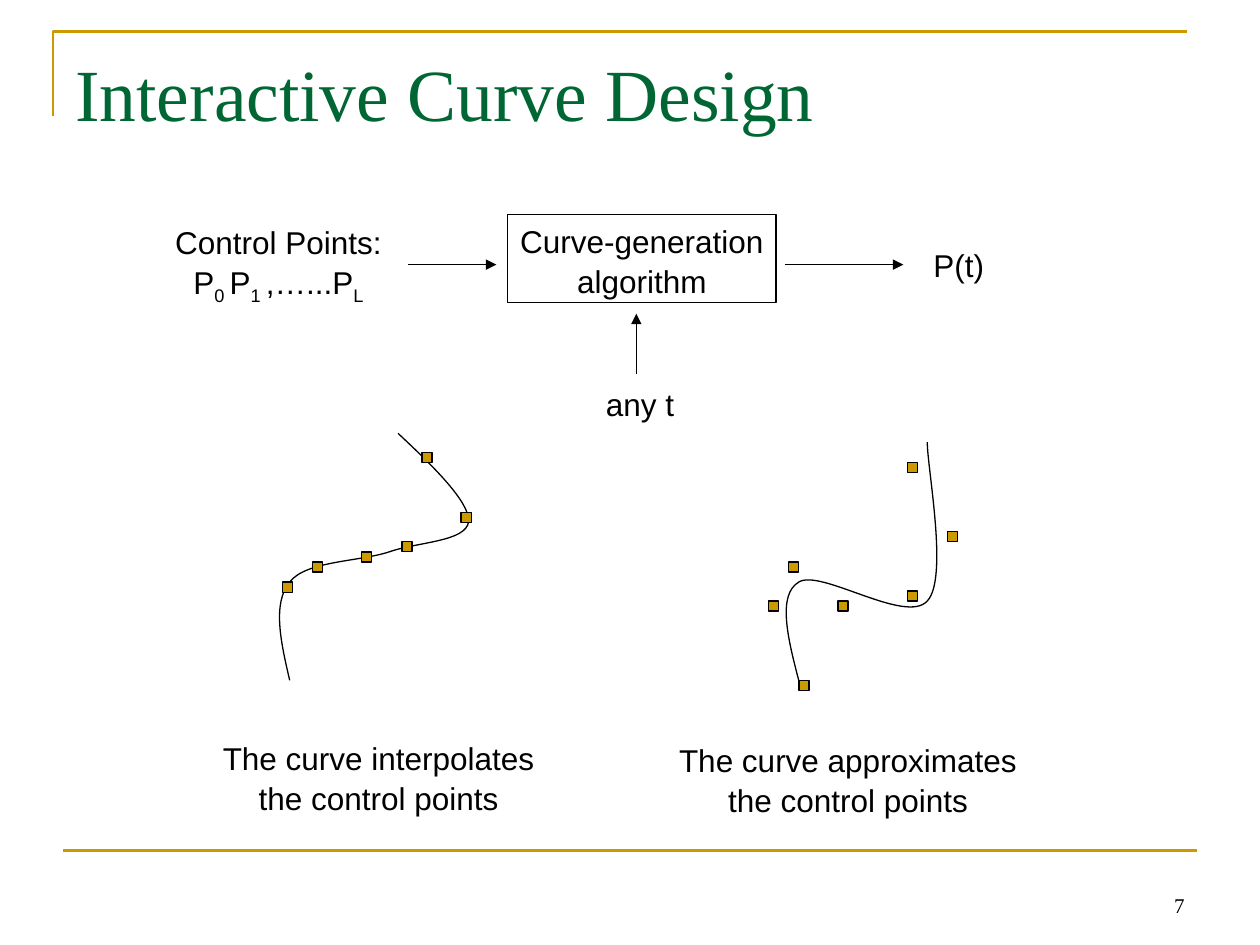
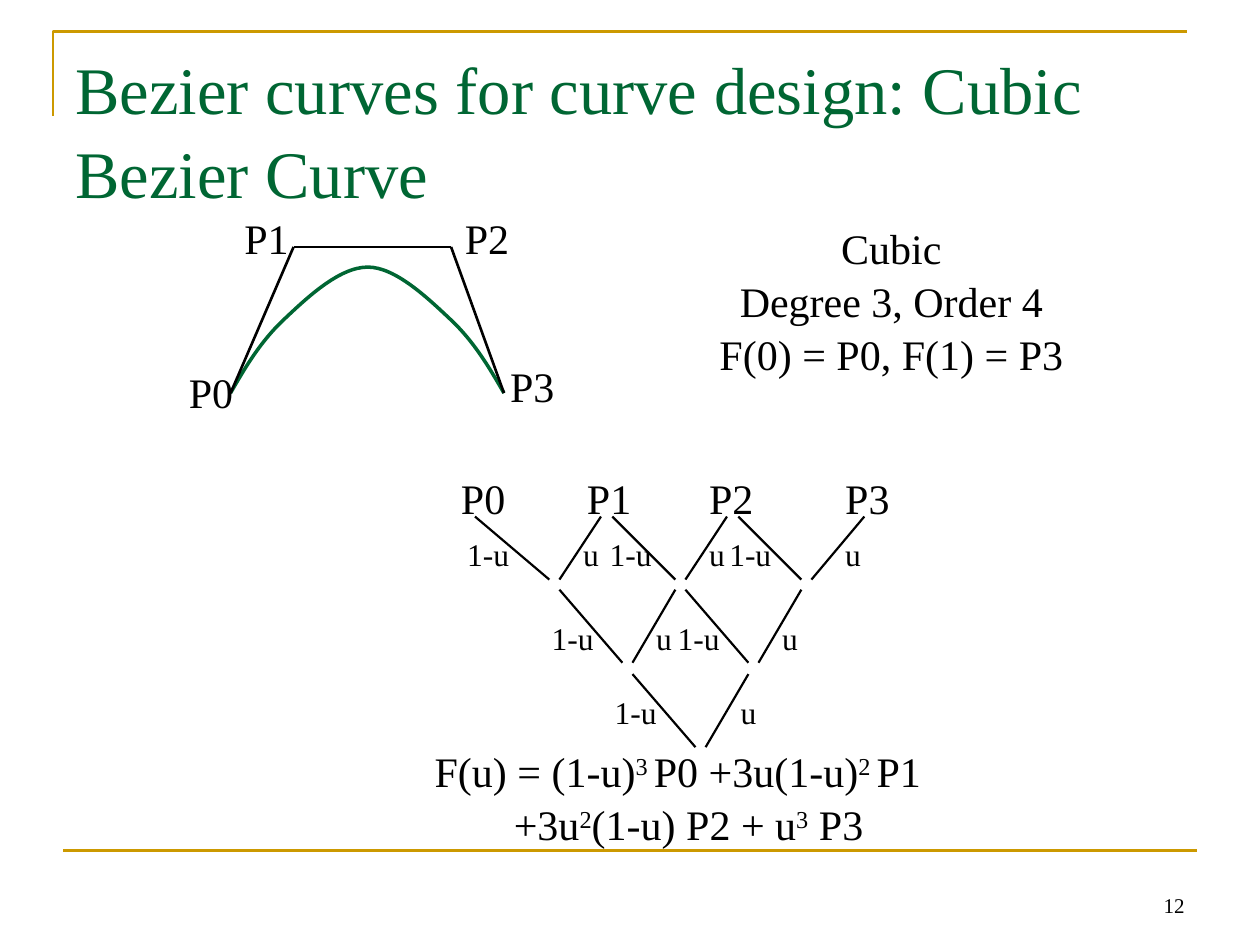
from itertools import pairwise

from lxml import etree
from pptx import Presentation
from pptx.dml.color import RGBColor
from pptx.enum.shapes import MSO_CONNECTOR, MSO_SHAPE
from pptx.enum.text import MSO_ANCHOR, PP_ALIGN
from pptx.oxml.ns import qn
from pptx.util import Inches, Pt

STRAIGHT, RECT = MSO_CONNECTOR.STRAIGHT, MSO_SHAPE.RECTANGLE
LEFT, CENTER, RIGHT = PP_ALIGN.LEFT, PP_ALIGN.CENTER, PP_ALIGN.RIGHT
TOP, BOTTOM = MSO_ANCHOR.TOP, MSO_ANCHOR.BOTTOM

GOLD = RGBColor(0xCC, 0x99, 0x00)
GREEN = RGBColor(0x00, 0x66, 0x33)
BLACK = RGBColor(0x00, 0x00, 0x00)
SERIF, SANS = "Times New Roman", "Arial"


def add_text(s, box, paras, size, font=SERIF, color=BLACK, align=LEFT,
             anchor=TOP, wrap=False, shift=0):
    """Each paragraph is a list of runs; every second run is raised by shift."""
    sp = s.shapes.add_textbox(*map(Inches, box))
    tf = sp.text_frame
    tf.word_wrap = wrap
    tf.vertical_anchor = anchor
    for i, runs in enumerate(paras):
        p = tf.paragraphs[0] if i == 0 else tf.add_paragraph()
        p.alignment = align
        p.line_spacing = 1.05
        for j, text in enumerate(runs):
            r = p.add_run()
            r.text = text
            r.font.name, r.font.size = font, Pt(size)
            r.font.color.rgb = color
            if j % 2:
                r.font._element.set("baseline", str(shift * 1000))
    return sp


def add_line(s, start, end, color=BLACK, width=0.75, arrow=False):
    cx = s.shapes.add_connector(STRAIGHT, *map(Inches, (*start, *end)))
    cx.line.color.rgb = color
    cx.line.width = Pt(width)
    if arrow:
        etree.SubElement(cx.line._get_or_add_ln(), qn("a:tailEnd"), type="triangle")
    etree.SubElement(cx._element.spPr, qn("a:effectLst"))


prs = Presentation()
prs.slide_width, prs.slide_height = Inches(10), Inches(7.5)

# Shared frame: footer rule, title, page number
slides = []
for title, size, number in [
    ("Interactive Curve Design", 42, "7"),
    ("Bezier curves for curve design: Cubic Bezier Curve", 38, "12"),
]:
    s = prs.slides.add_slide(prs.slide_layouts[6])
    add_line(s, (0.5, 6.75), (9.5, 6.75), GOLD, 1.5)
    add_text(s, (0.5, 0.3, 9, 1.25), [[title]], size, color=GREEN, wrap=True)
    add_text(s, (7.17, 6.83, 2.33, 0.5), [[number]], 12, align=RIGHT,
             anchor=BOTTOM, wrap=True)
    slides.append(s)
design, cubic = slides

# Outlines: the corner of each frame, then the curves (start, then control triples)
corner = [(0.42, 0.92), (0.42, 0.25), (9.42, 0.25)]
interpolating = [(2.3, 5.4), (2.23, 5.1), (2.16, 4.79), (2.3, 4.62),
                 (2.43, 4.45), (2.85, 4.46), (3.09, 4.38),
                 (3.32, 4.3), (3.7, 4.3), (3.72, 4.14),
                 (3.73, 3.99), (3.45, 3.71), (3.16, 3.44)]
approximating = [(6.34, 5.4), (6.25, 5.06), (6.17, 4.72), (6.34, 4.62),
                 (6.51, 4.51), (7.19, 4.96), (7.36, 4.77),
                 (7.53, 4.59), (7.36, 3.72), (7.36, 3.51)]
bezier = [(1.83, 3.12), (1.95, 2.91), (2.07, 2.71), (2.25, 2.54),
          (2.43, 2.37), (2.69, 2.12), (2.92, 2.12),
          (3.14, 2.12), (3.4, 2.37), (3.58, 2.54),
          (3.76, 2.71), (3.88, 2.91), (4, 3.12)]
for s, points, color, width, curved in [
    (design, corner, GOLD, 1.5, False),
    (cubic, corner, GOLD, 1.5, False),
    (design, interpolating, BLACK, 0.75, True),
    (design, approximating, BLACK, 0.75, True),
    (cubic, bezier, GREEN, 2, True),
]:
    (x0, y0), *rest = [(Inches(x), Inches(y)) for x, y in points]
    fb = s.shapes.build_freeform(x0, y0)
    fb.add_line_segments(rest, close=False)
    sp = fb.convert_to_shape()
    sp.shadow.inherit = False
    sp.fill.background()
    sp.line.color.rgb = color
    sp.line.width = Pt(width)
    if curved:
        # Every three segments become one cubic segment
        steps = list(sp._element.iter(qn("a:lnTo")))
        outline = steps[0].getparent()
        for i in range(0, len(steps), 3):
            cubic_to = etree.SubElement(outline, qn("a:cubicBezTo"))
            for step in steps[i:i + 3]:
                cubic_to.append(step[0])
                outline.remove(step)

# Slide 1: flow from control points to P(t)
s = design
add_text(s, (1.03, 1.71, 2.36, 0.74),
         [["Control Points:"], ["P", "0 ", "P", "1 ", ",…...P", "L"]],
         18, SANS, align=CENTER, wrap=True, shift=-25)
sp = add_text(s, (4.03, 1.7, 2.13, 0.7), [["Curve-generation"], ["algorithm"]],
              18, SANS, align=CENTER)
sp.line.color.rgb = BLACK
sp.line.width = Pt(0.75)
add_text(s, (4.71, 2.99, 0.74, 0.4), [["any t"]], 18, SANS)
add_text(s, (7.31, 1.89, 0.6, 0.4), [["P(t)"]], 18, SANS)
for start, end in [((3.24, 2.1), (3.94, 2.1)), ((6.23, 2.1), (7.17, 2.1)),
                   ((5.05, 2.97), (5.05, 2.49))]:
    add_line(s, start, end, arrow=True)

# Control points of both curves
for x, y in [(2.24, 4.62), (2.48, 4.46), (2.87, 4.38), (3.19, 4.3),
             (3.35, 3.59), (3.66, 4.07),
             (6.34, 5.4), (6.1, 4.77), (6.26, 4.46), (6.65, 4.77),
             (7.2, 4.69), (7.52, 4.22), (7.2, 3.67)]:
    sp = s.shapes.add_shape(RECT, *map(Inches, (x, y, 0.08, 0.08)))
    sp.shadow.inherit = False
    sp.fill.solid()
    sp.fill.fore_color.rgb = GOLD
    sp.line.color.rgb = BLACK
    sp.line.width = Pt(0.75)

# Captions
for box, verb in [((1.67, 5.8, 2.67, 0.7), "interpolates"),
                  ((5.29, 5.82, 2.88, 0.7), "approximates")]:
    add_text(s, box, [[f"The curve {verb}"], ["the control points"]],
             18, SANS, align=CENTER)

# Slide 2: control polygon
s = cubic
for start, end in pairwise([(1.83, 3.12), (2.33, 1.96), (3.58, 1.96), (4, 3.12)]):
    add_line(s, start, end, width=1.5)
polygon_labels = [(1.4, 2.84), (1.84, 1.62), (3.59, 1.62), (3.95, 2.79)]
tree_labels = [(x, 3.68) for x in (3.56, 4.56, 5.53, 6.61)]
for labels in (polygon_labels, tree_labels):
    for i, (x, y) in enumerate(labels):
        add_text(s, (x, y, 0.55, 0.5), [[f"P{i}"]], 24)

add_text(s, (5.61, 1.7, 2.93, 1.3),
         [["Cubic"], ["Degree 3, Order 4"], ["F(0) = P0, F(1) = P3"]],
         24, align=CENTER)

# Evaluation tree: each node joins a 1-u branch from the left and a u branch
# from the right; nodes of one level are an inch apart
for top, bottom, node, lefts, rights, label_y, left_labels, right_labels in [
    (4.1, 4.6, 4.36, (3.77, 4.86, 5.86), (4.77, 5.77, 6.86),
     4.18, (3.61, 4.74, 5.69), (4.53, 5.53, 6.61)),
    (4.68, 5.26, 4.94, (4.44, 5.44), (5.36, 6.36),
     4.85, (4.28, 5.28), (5.11, 6.11)),
    (5.35, 5.93, 5.52, (5.02,), (5.94,), 5.44, (4.78,), (5.78,)),
]:
    for i, (left, right) in enumerate(zip(lefts, rights)):
        add_line(s, (left, top), (node + i, bottom), width=1.25)
        add_line(s, (right, top), (node + 0.08 + i, bottom), width=1.25)
        add_text(s, (left_labels[i], label_y, 0.53, 0.4), [["1-u"]], 18)
        add_text(s, (right_labels[i], label_y, 0.32, 0.4), [["u"]], 18)

# Resulting formula, second line set in a little
sp = add_text(s, (3.35, 5.85, 4.06, 0.9),
              [["F(u) = (1-u)", "3 ", "P0 +3u(1-u)", "2 ", "P1"],
               ["+3u", "2", "(1-u) P2 + u", "3", " P3"]],
              24, align=CENTER, shift=30)
pPr = sp.text_frame.paragraphs[1]._p.get_or_add_pPr()
pPr.set("marL", str(Inches(0.17)))

prs.save("out.pptx")
